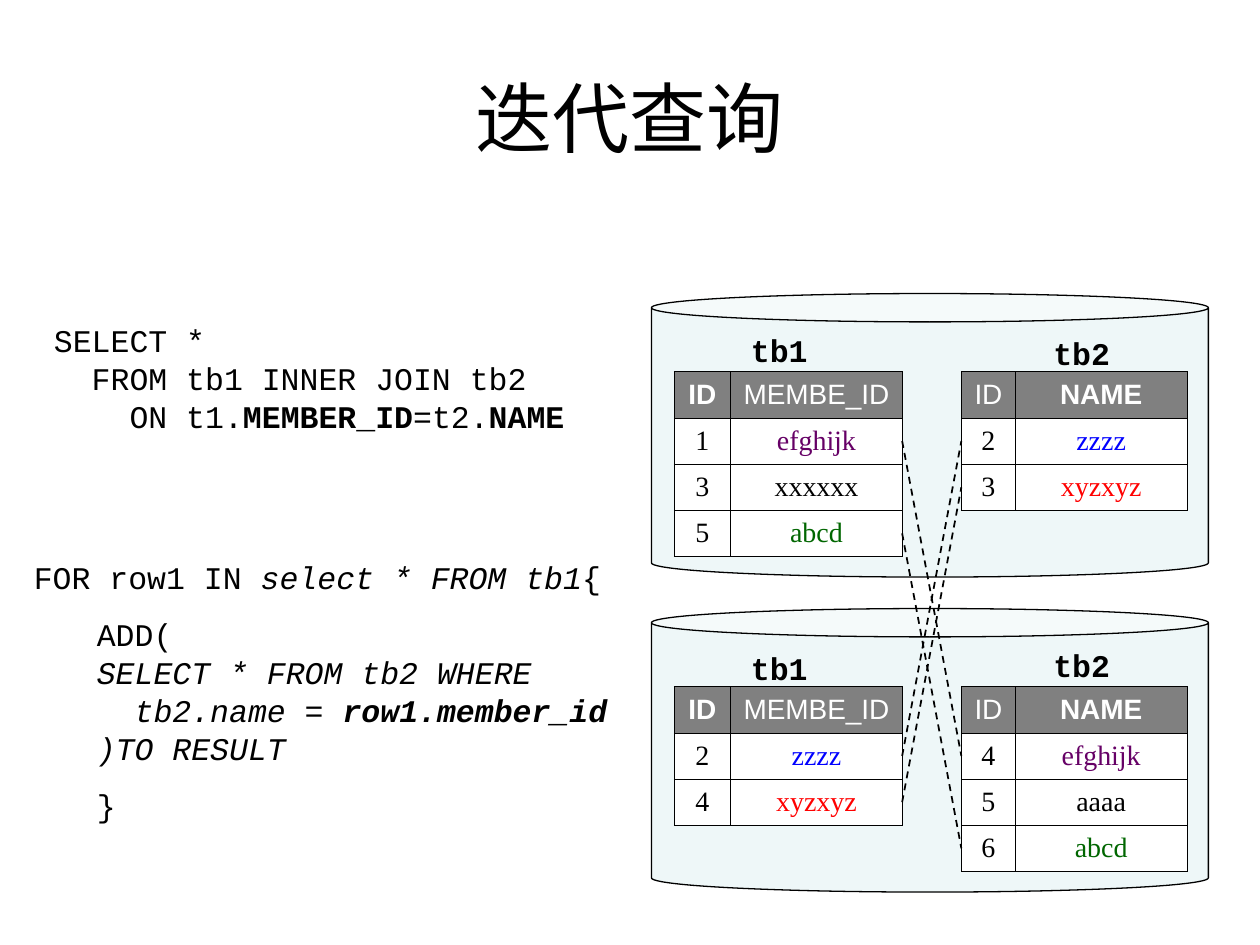
from lxml import etree
from pptx import Presentation
from pptx.dml.color import RGBColor
from pptx.enum.dml import MSO_LINE
from pptx.enum.shapes import MSO_CONNECTOR as CONNECTOR, MSO_SHAPE as SHAPE
from pptx.enum.text import MSO_ANCHOR as ANCHOR, PP_ALIGN as ALIGN
from pptx.oxml.ns import qn
from pptx.util import Inches, Pt

BLACK = RGBColor(0x00, 0x00, 0x00)
WHITE = RGBColor(0xFF, 0xFF, 0xFF)
GRAY = RGBColor(0x80, 0x80, 0x80)
TEAL = RGBColor(0xBB, 0xE0, 0xE3)
BLUE = RGBColor(0x00, 0x00, 0xFF)
RED = RGBColor(0xFF, 0x00, 0x00)
PURPLE = RGBColor(0x66, 0x00, 0x66)
GREEN = RGBColor(0x00, 0x66, 0x00)
VALUE_COLORS = {"efghijk": PURPLE, "zzzz": BLUE, "xyzxyz": RED, "abcd": GREEN}

ROW_HEIGHT = 1.1 / 3
TB1_LEFT, TB1_COLUMNS = 5.35, (0.45, 1.36)
TB2_LEFT, TB2_COLUMNS = 7.63, (0.43, 1.36)
UPPER, LOWER = 2.95, 5.45  # tops of the tables in each database


class SlideBuilder:
    title_font = "Noto Sans CJK SC"
    code_font = "Courier New"
    header_font = "Arial"
    cell_font = "Times New Roman"
    cell_margin = Inches(0.09)

    def __init__(self, presentation):
        self.slide = presentation.slides.add_slide(presentation.slide_layouts[5])
        self.shapes = self.slide.shapes

    def format_run(self, run, font, size, color=BLACK, bold=False, italic=False):
        run.font.name, run.font.size = font, Pt(size)
        run.font.bold, run.font.italic = bold, italic
        run.font.color.rgb = color

    def title(self, text):
        title = self.shapes.title
        title.left, title.top = Inches(0.5), Inches(0.3)
        title.width, title.height = Inches(9), Inches(1.25)
        title.text_frame.text = text
        title.text_frame.vertical_anchor = ANCHOR.MIDDLE
        paragraph = title.text_frame.paragraphs[0]
        paragraph.alignment = ALIGN.CENTER
        run = paragraph.runs[0]
        self.format_run(run, self.title_font, 44)
        east_asian = etree.SubElement(run.font._element, qn("a:ea"))
        east_asian.set("typeface", self.title_font)

    def database(self, top):
        can = self.shapes.add_shape(SHAPE.CAN, Inches(5.17), Inches(top),
                                    Inches(4.42), Inches(2.25))
        can.adjustments[0] = 0.1
        can.shadow.inherit = False
        can.fill.solid()
        can.fill.fore_color.rgb = TEAL
        color = can._element.spPr.find(qn("a:solidFill"))[0]
        etree.SubElement(color, qn("a:alpha")).set("val", "24000")
        can.line.color.rgb = BLACK
        can.line.width = Pt(0.75)

    def code(self, left, top, width, height, paragraphs, align=ALIGN.LEFT):
        """Add code; a paragraph is (indent, [(text, style), ...]), style of "b" and "i"."""
        box = self.shapes.add_textbox(Inches(left), Inches(top),
                                      Inches(width), Inches(height))
        frame = box.text_frame
        frame.word_wrap = True
        for index, (indent, pieces) in enumerate(paragraphs):
            paragraph = frame.add_paragraph() if index else frame.paragraphs[0]
            paragraph.alignment = align
            if index:
                paragraph.space_before = Pt(11.2)
            paragraph._p.get_or_add_pPr().set("marL", str(Inches(indent)))
            for text, style in pieces:
                for number, line in enumerate(text.split("\n")):
                    if number:
                        paragraph.add_line_break()
                    if line:
                        run = paragraph.add_run()
                        run.text = line
                        self.format_run(run, self.code_font, 18,
                                        bold="b" in style, italic="i" in style)

    def label(self, text, left, top):
        self.code(left, top, 0.83, 0.4, [(0, [(text, "b")])], ALIGN.CENTER)

    def table(self, left, top, widths, rows, bold_header):
        frame = self.shapes.add_table(
            len(rows), len(widths), Inches(left), Inches(top),
            Inches(sum(widths)), Inches(ROW_HEIGHT * len(rows)))
        table = frame.table
        for column, width in zip(table.columns, widths):
            column.width = Inches(width)
        for row_index, values in enumerate(rows):
            table.rows[row_index].height = Inches(ROW_HEIGHT)
            for column_index, value in enumerate(values):
                cell = table.cell(row_index, column_index)
                if row_index == 0:
                    self.cell(cell, value, self.header_font, WHITE, GRAY,
                              value == bold_header)
                else:
                    self.cell(cell, value, self.cell_font,
                              VALUE_COLORS.get(value, BLACK), WHITE)

    def cell(self, cell, text, font, color, fill, bold=False):
        cell.text_frame.text = text
        cell.vertical_anchor = ANCHOR.MIDDLE
        cell.margin_left = cell.margin_right = self.cell_margin
        paragraph = cell.text_frame.paragraphs[0]
        paragraph.alignment = ALIGN.CENTER
        self.format_run(paragraph.runs[0], font, 16, color, bold)
        properties = cell._tc.get_or_add_tcPr()
        for side in ("a:lnL", "a:lnR", "a:lnT", "a:lnB"):
            line = etree.SubElement(properties, qn(side), w=str(Pt(0.45)))
            solid = etree.SubElement(line, qn("a:solidFill"))
            etree.SubElement(solid, qn("a:srgbClr")).set("val", str(BLACK))
        cell.fill.solid()
        cell.fill.fore_color.rgb = fill

    def match(self, tb1_top, tb1_row, tb2_top, tb2_row):
        """Join a row of tb1 to a row of tb2 with a dashed line."""
        start_y = tb1_top + ROW_HEIGHT * (tb1_row + 0.5)
        end_y = tb2_top + ROW_HEIGHT * (tb2_row + 0.5)
        connector = self.shapes.add_connector(
            CONNECTOR.STRAIGHT, Inches(TB1_LEFT + sum(TB1_COLUMNS)), Inches(start_y),
            Inches(TB2_LEFT), Inches(end_y))
        connector.line.color.rgb = BLACK
        connector.line.width = Pt(1)
        connector.line.dash_style = MSO_LINE.DASH
        etree.SubElement(connector._element.spPr, qn("a:effectLst"))


def main():
    presentation = Presentation()
    presentation.slide_width, presentation.slide_height = Inches(10), Inches(7.5)
    builder = SlideBuilder(presentation)

    builder.title("迭代查询")
    builder.database(4.83)
    builder.database(2.33)

    builder.code(0.33, 2.5, 4.5, 1, [
        (0, [("SELECT *\n  FROM tb1 INNER JOIN tb2\n    ON t1.", ""),
             ("MEMBER_ID", "b"), ("=t2.", ""), ("NAME", "b")]),
    ])

    tb1_header, tb2_header = ("ID", "MEMBE_ID"), ("ID", "NAME")
    tb1_rows = {
        UPPER: [("1", "efghijk"), ("3", "xxxxxx"), ("5", "abcd")],
        LOWER: [("2", "zzzz"), ("4", "xyzxyz")],
    }
    tb2_rows = {
        UPPER: [("2", "zzzz"), ("3", "xyzxyz")],
        LOWER: [("4", "efghijk"), ("5", "aaaa"), ("6", "abcd")],
    }
    for top in (LOWER, UPPER):
        builder.table(TB1_LEFT, top, TB1_COLUMNS, [tb1_header] + tb1_rows[top], "ID")
        builder.table(TB2_LEFT, top, TB2_COLUMNS, [tb2_header] + tb2_rows[top], "NAME")

    for text, left, top in (("tb1", 5.77, 2.58), ("tb1", 5.77, 5.1),
                            ("tb2", 8.17, 5.08), ("tb2", 8.17, 2.6)):
        builder.label(text, left, top)

    for tb1_top, tb2_top in ((UPPER, LOWER), (LOWER, UPPER)):
        names = [name for _, name in tb2_rows[tb2_top]]
        for row, (_, member) in enumerate(tb1_rows[tb1_top], start=1):
            if member in names:
                builder.match(tb1_top, row, tb2_top, names.index(member) + 1)

    builder.code(0.17, 4.38, 5.08, 2.22, [
        (0, [("FOR row1 IN ", ""), ("select * FROM tb1", "i"), ("{", "")]),
        (0.5, [("ADD(\n", ""), ("SELECT * FROM tb2 WHERE\n  tb2.name = ", "i"),
               ("row1.member_id\n", "bi"), (")TO RESULT", "i")]),
        (0.5, [("}", "")]),
    ])

    presentation.save("out.pptx")


if __name__ == "__main__":
    main()
